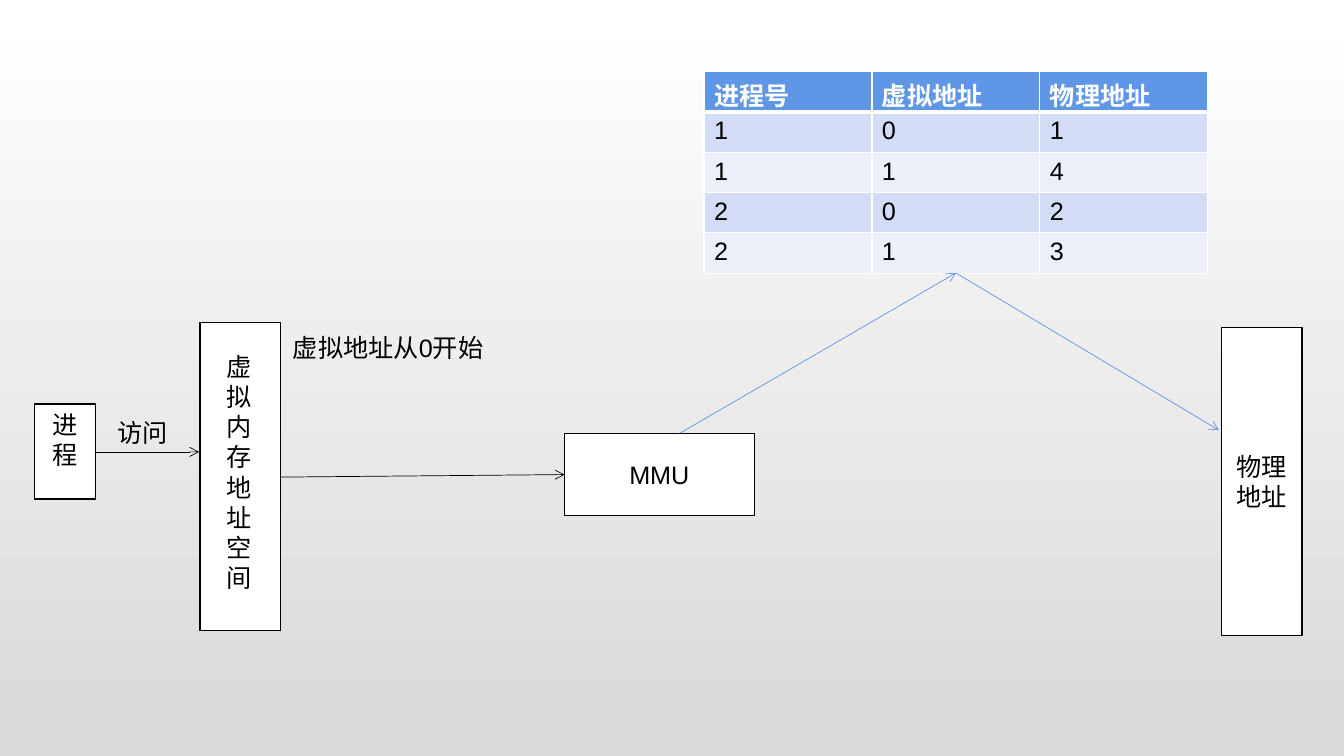
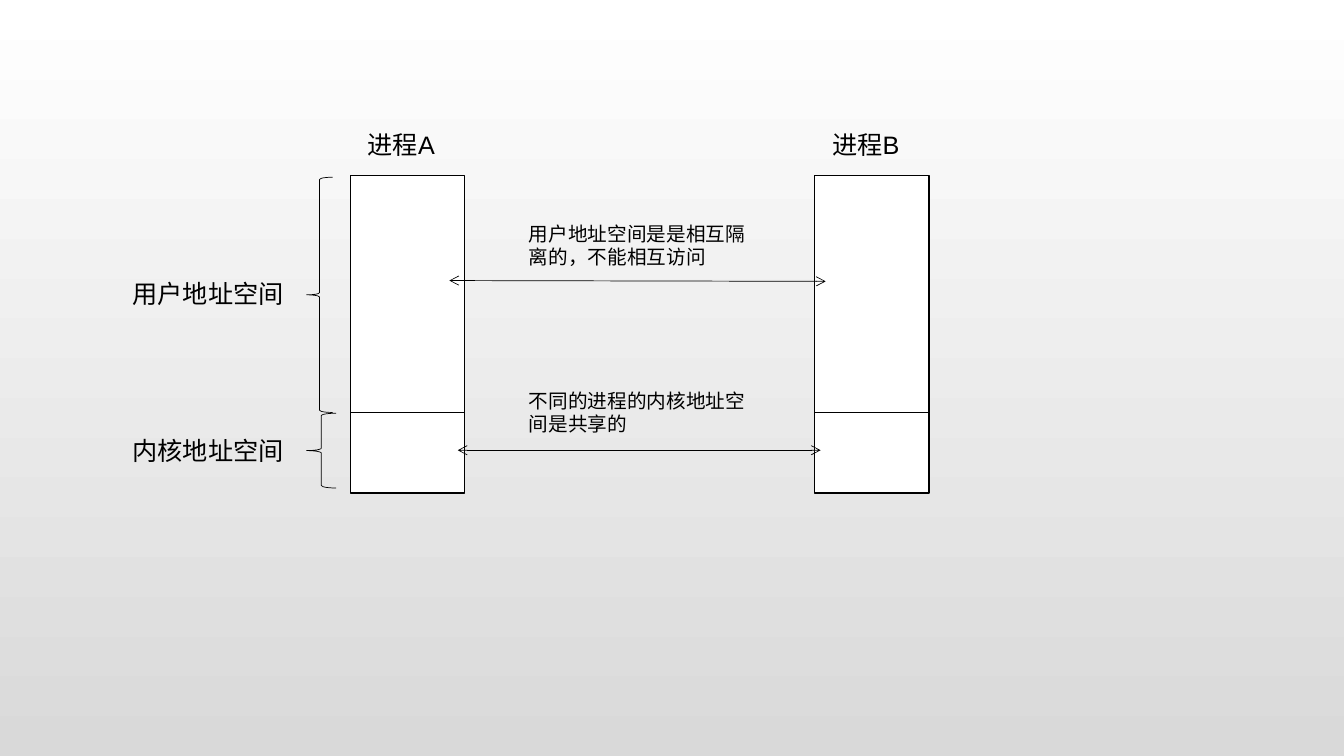
from dataclasses import dataclass
from typing import NamedTuple

from pptx import Presentation
from pptx.dml.color import RGBColor
from pptx.enum.shapes import MSO_CONNECTOR as Connector, MSO_SHAPE as Preset
from pptx.enum.text import MSO_ANCHOR as Anchor, PP_ALIGN as Align
from pptx.oxml.ns import qn
from pptx.oxml.xmlchemy import OxmlElement
from pptx.slide import Slide
from pptx.text.text import TextFrame
from pptx.util import Emu, Pt

# Grid: 160 columns by 90 rows of square cells
COLUMNS, ROWS = 160, 90
CELL = Emu(76200)

# Shared style
BLACK = RGBColor(0x00, 0x00, 0x00)
WHITE = RGBColor(0xFF, 0xFF, 0xFF)
GREY = RGBColor(0xD9, 0xD9, 0xD9)
BLUE = RGBColor(0x60, 0x96, 0xE6)
BAND_DARK = RGBColor(0xD2, 0xDD, 0xF5)
BAND_LIGHT = RGBColor(0xEA, 0xEF, 0xFA)
FONT = "Arial"
BODY, SMALL = 18, 14
OUTLINE, HAIRLINE = 1, 0.5
LINE_HEIGHT = 4.8


class Area(NamedTuple):
    column: float
    row: float
    width: float
    height: float


class Spot(NamedTuple):
    column: float
    row: float


@dataclass(frozen=True)
class Block:
    area: Area
    text: str = ""
    anchor: Anchor = Anchor.MIDDLE


@dataclass(frozen=True)
class Label:
    area: Area
    text: str
    size: int = BODY


@dataclass(frozen=True)
class Link:
    start: Spot
    end: Spot
    color: RGBColor = BLACK
    ends: tuple[str, ...] = ("tailEnd",)


def cells(*counts: float) -> list[Emu]:
    return [Emu(round(count * CELL)) for count in counts]


def write(frame: TextFrame, text: str, size: int = BODY, color: RGBColor = BLACK,
          bold: bool = False, align: Align = Align.LEFT) -> None:
    frame.text = text
    for paragraph in frame.paragraphs:
        paragraph.alignment = align
        for run in paragraph.runs:
            run.font.name = FONT
            run.font.size = Pt(size)
            run.font.bold = bold
            run.font.color.rgb = color


def draw_block(slide: Slide, block: Block) -> None:
    box = slide.shapes.add_shape(Preset.RECTANGLE, *cells(*block.area))
    box.shadow.inherit = False
    box.fill.solid()
    box.fill.fore_color.rgb = WHITE
    box.line.color.rgb = BLACK
    box.line.width = Pt(OUTLINE)
    if block.text:
        box.text_frame.word_wrap = True
        box.text_frame.vertical_anchor = block.anchor
        write(box.text_frame, block.text, align=Align.CENTER)


def draw_label(slide: Slide, label: Label) -> None:
    frame = slide.shapes.add_textbox(*cells(*label.area)).text_frame
    frame.word_wrap = True
    write(frame, label.text, label.size)


def draw_brace(slide: Slide, area: Area) -> None:
    brace = slide.shapes.add_shape(Preset.LEFT_BRACE, *cells(*area))
    brace.shadow.inherit = False
    brace.fill.background()
    brace.line.color.rgb = BLACK
    brace.line.width = Pt(HAIRLINE)


def draw_link(slide: Slide, link: Link) -> None:
    connector = slide.shapes.add_connector(Connector.STRAIGHT, *cells(*link.start, *link.end))
    connector.line.color.rgb = link.color
    connector.line.width = Pt(HAIRLINE)
    properties = connector._element.spPr
    outline = properties.find(qn("a:ln"))
    for end in link.ends:
        arrowhead = OxmlElement(f"a:{end}")
        arrowhead.set("type", "arrow")
        outline.append(arrowhead)
    properties.append(OxmlElement("a:effectLst"))


def draw_borders(cell, bottom: float) -> None:
    properties = cell._tc.get_or_add_tcPr()
    for side, width in (("L", 1), ("R", 1), ("T", 1), ("B", bottom)):
        border = OxmlElement(f"a:ln{side}")
        border.set("w", str(Pt(width)))
        fill = OxmlElement("a:solidFill")
        color = OxmlElement("a:srgbClr")
        color.set("val", str(WHITE))
        fill.append(color)
        border.append(fill)
        properties.append(border)


def draw_table(slide: Slide, area: Area, rows: list[tuple[str, ...]]) -> None:
    table = slide.shapes.add_table(len(rows), len(rows[0]), *cells(*area)).table
    table.horz_banding = False
    for index, values in enumerate(rows):
        header = index == 0
        band = BLUE if header else BAND_DARK if index % 2 else BAND_LIGHT
        for cell, value in zip(table.rows[index].cells, values):
            draw_borders(cell, bottom=3 if header else 1)
            cell.fill.solid()
            cell.fill.fore_color.rgb = band
            write(cell.text_frame, value, color=WHITE if header else BLACK, bold=header)


# Address translation through the MMU
PAGE_TABLE = [
    ("进程号", "虚拟地址", "物理地址"),
    ("1", "0", "1"),
    ("1", "1", "4"),
    ("2", "0", "2"),
    ("2", "1", "3"),
]
TABLE_AREA = Area(83.8, 8.5, 60, len(PAGE_TABLE) * LINE_HEIGHT)
TABLE_FOOT = Spot(TABLE_AREA.column + TABLE_AREA.width / 2, TABLE_AREA.row + TABLE_AREA.height)


def build_translation(slide: Slide) -> None:
    for block in (
        Block(Area(4.1, 48.1, 7.3, 11.3), "进程", Anchor.TOP),
        Block(Area(23.8, 38.4, 9.6, 36.7)),
        Block(Area(145.4, 39, 9.6, 36.7), "物理地址"),
        Block(Area(67.2, 51.6, 22.6, 9.8), "MMU"),
    ):
        draw_block(slide, block)
    for label in (
        Label(Area(33.7, 39, 26.5, LINE_HEIGHT), "虚拟地址从0开始"),
        Label(Area(25.8, 41.2, 5.9, 30.2), "虚拟内存地址空间"),
        Label(Area(12.8, 49.1, 9.6, LINE_HEIGHT), "访问"),
    ):
        draw_label(slide, label)
    draw_table(slide, TABLE_AREA, PAGE_TABLE)
    for link in (
        Link(Spot(33.4, 56.8), Spot(67.2, 56.5)),
        Link(Spot(11.4, 53.8), Spot(23.7, 53.8)),
        Link(Spot(80.9, 51.6), TABLE_FOOT, BLUE),
        Link(TABLE_FOOT, Spot(145.1, 51.2), BLUE),
    ):
        draw_link(slide, link)


# User and kernel space of two processes
PROCESSES = {"进程A": 41.7, "进程B": 97}
PROCESS_WIDTH = 13.6
KERNEL_ROW = 49.1
BOTH_ENDS = ("headEnd", "tailEnd")


def build_isolation(slide: Slide) -> None:
    for process, column in PROCESSES.items():
        draw_block(slide, Block(Area(column, 20.9, PROCESS_WIDTH, 37.8)))
        draw_link(slide, Link(Spot(column, KERNEL_ROW),
                              Spot(column + PROCESS_WIDTH, KERNEL_ROW), ends=()))
        draw_label(slide, Label(Area(column + 0.9, 14.8, 11.8, LINE_HEIGHT), process))
    for brace in (Area(36.5, 21.1, 3.1, 28), Area(36.5, 49.2, 3.5, 8.9)):
        draw_brace(slide, brace)
    for label in (
        Label(Area(14.6, 32.6, 20.8, LINE_HEIGHT), "用户地址空间"),
        Label(Area(14.6, 51.2, 20.8, LINE_HEIGHT), "内核地址空间"),
        Label(Area(61.8, 25.8, 29.3, 6.8), "用户地址空间是是相互隔离的，不能相互访问", SMALL),
        Label(Area(61.8, 45.7, 29.3, 6.8), "不同的进程的内核地址空间是共享的", SMALL),
    ):
        draw_label(slide, label)
    for link in (
        Link(Spot(53.5, 33.4), Spot(98.3, 33.5), ends=BOTH_ENDS),
        Link(Spot(54.5, 53.6), Spot(97.7, 53.6), ends=BOTH_ENDS),
    ):
        draw_link(slide, link)


def main() -> None:
    deck = Presentation()
    deck.slide_width, deck.slide_height = cells(COLUMNS, ROWS)

    # Background shared through the master
    backdrop = deck.slide_master.background.fill
    backdrop.gradient()
    backdrop.gradient_angle = 270
    for stop, color in zip(backdrop.gradient_stops, (WHITE, GREY)):
        stop.color.rgb = color

    blank = deck.slide_layouts.get_by_name("Blank")
    for build in (build_translation, build_isolation):
        build(deck.slides.add_slide(blank))
    deck.save("out.pptx")


main()
